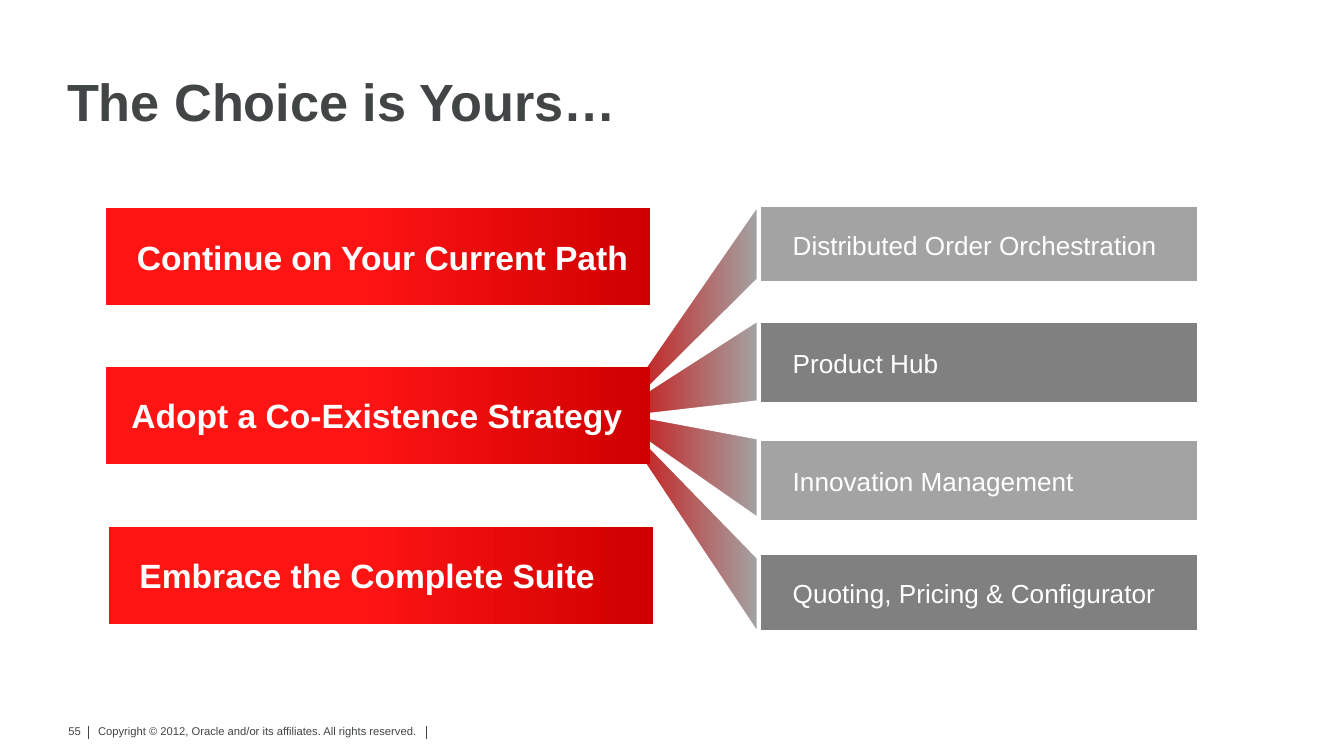
from dataclasses import dataclass

from lxml.etree import SubElement
from pptx import Presentation
from pptx.dml.color import RGBColor
from pptx.enum.shapes import MSO_CONNECTOR as Connector, MSO_SHAPE as Shape
from pptx.enum.text import MSO_ANCHOR as Anchor, MSO_AUTO_SIZE as AutoSize, PP_ALIGN as Align
from pptx.oxml.ns import qn
from pptx.util import Inches, Pt


@dataclass(frozen=True)
class Theme:
    """Colours, font and type sizes of the slide."""
    font: str = "Arial"
    ink: str = "424545"
    white: str = "FFFFFF"
    bright_red: str = "FF1414"
    deep_red: str = "CE0000"
    light_grey: str = "A3A3A3"
    dark_grey: str = "808080"
    title_size: float = 28
    choice_size: float = 18
    capability_size: float = 14
    footer_size: float = 6
    edge: float = 1.5
    hairline: float = 0.5


THEME = Theme()

CHOICES = [
    ("Continue on Your Current Path", 0, 0, 0.38, Align.LEFT),
    ("Adopt a Co-Existence Strategy", 0, 1.18, 0.25, Align.CENTER),
    ("Embrace the Complete Suite", 0.02, 2.37, 0.38, Align.LEFT),
]

CAPABILITIES = [
    ("Distributed Order Orchestration", 0, 0.57),
    ("Product Hub", 0.86, 0.61),
    ("Innovation Management", 1.74, 0.61),
    ("Quoting, Pricing & Configurator", 2.59, 0.58),
]

BEAMS = [
    ((0.01, 1.61), (0.01, 1.66), -0.01, 0.55),
    ((0.01, 1.57), (0, 1.59), 0.85, 1.46),
    ((0.01, 1.52), (0.01, 1.55), 1.73, 2.33),
    ((0.01, 1.47), (0.02, 1.52), 2.62, 3.19),
]


def rgb(code):
    """Return the colour for a hex code."""
    return RGBColor.from_string(code)


def add_text(slide, text, left, top, width, height, *, size, color=THEME.white, bold=False,
             align=Align.LEFT, anchor=Anchor.TOP, insets=(0.1, 0.05), wrap=True, grow=True,
             spacing=None, margin=0, indent=0):
    """Add one paragraph of text in its own box."""
    frame = slide.shapes.add_textbox(*map(Inches, (left, top, width, height))).text_frame
    frame.word_wrap = wrap
    frame.auto_size = AutoSize.SHAPE_TO_FIT_TEXT if grow else AutoSize.NONE
    frame.vertical_anchor = anchor
    frame.margin_left = frame.margin_right = Inches(insets[0])
    frame.margin_top = frame.margin_bottom = Inches(insets[1])
    paragraph = frame.paragraphs[0]
    paragraph.alignment = align
    paragraph.line_spacing = spacing
    if margin:
        properties = paragraph._p.get_or_add_pPr()
        properties.set("marL", str(Inches(margin)))
        properties.set("indent", str(Inches(indent)))
    run = paragraph.add_run()
    run.text = text
    run.font.name, run.font.size, run.font.bold = THEME.font, Pt(size), bold
    run.font.color.rgb = rgb(color)


def fill_gradient(shape, *stops):
    """Fill a shape from left to right through two (position, colour) stops."""
    shape.fill.gradient()
    shape.fill.gradient_angle = 0
    for stop, (position, color) in zip(shape.fill.gradient_stops, stops):
        stop.position = position
        stop.color.rgb = rgb(color)


def outline(shape):
    """Give a shape a white edge and no shadow."""
    shape.shadow.inherit = False
    shape.line.color.rgb = rgb(THEME.white)
    shape.line.width = Pt(THEME.edge)


def add_rectangle(slide, left, top, width, height):
    """Add a rectangle without a shadow."""
    rectangle = slide.shapes.add_shape(Shape.RECTANGLE, *map(Inches, (left, top, width, height)))
    rectangle.shadow.inherit = False
    return rectangle


def add_title(slide, left, top, width, height):
    """Add the slide title."""
    add_text(slide, "The Choice is Yours…", left, top, width, height, size=THEME.title_size,
             color=THEME.ink, bold=True, anchor=Anchor.BOTTOM, insets=(0, 0), grow=False,
             spacing=0.9)


def add_beams(slide, left, top, width):
    """Add the beams that fan out from the middle choice."""
    for upper_tip, lower_tip, upper_end, lower_end in BEAMS:
        corners = [(Inches(left + x), Inches(top + y)) for x, y in
                   (lower_tip, upper_tip, (width, upper_end), (width, lower_end))]
        builder = slide.shapes.build_freeform(*corners[0])
        builder.add_line_segments(corners[1:], close=True)
        beam = builder.convert_to_shape()
        outline(beam)
        fill_gradient(beam, (0, THEME.deep_red), (1, THEME.light_grey))


def add_capabilities(slide, left, top, width):
    """Add the column of capabilities in alternating greys."""
    label_height = 0.34
    for index, (label, offset, height) in enumerate(CAPABILITIES):
        bar = add_rectangle(slide, left, top + offset, width, height)
        outline(bar)
        bar.fill.solid()
        bar.fill.fore_color.rgb = rgb((THEME.light_grey, THEME.dark_grey)[index % 2])
        add_text(slide, label, left + 0.15, top + offset + 0.01 + (height - label_height) / 2,
                 width - 0.04, label_height, size=THEME.capability_size)


def add_choices(slide, left, top, width, height):
    """Add the column of red choices."""
    label_height = 0.4
    for label, shift, offset, margin, align in CHOICES:
        bar = add_rectangle(slide, left + shift, top + offset, width, height)
        bar.line.fill.background()
        fill_gradient(bar, (0.46, THEME.bright_red), (1, THEME.deep_red))
        add_text(slide, label, left + shift, top + offset + (height - label_height) / 2,
                 width - 0.02, label_height, size=THEME.choice_size, bold=True, align=align,
                 anchor=Anchor.MIDDLE, margin=margin, indent=-0.25)


def add_footer(slide, left, top):
    """Add the copyright line, its two dividers and the page number."""
    style = {"size": THEME.footer_size, "color": THEME.ink}
    add_text(slide, "Copyright © 2012, Oracle and/or its affiliates. All rights reserved.",
             left + 0.3, top + 0.03, 2.74, 0.24, insets=(0.04, 0.02), grow=False, **style)
    for x in (0.27, 2.78):
        ends = (left + x, top + 0.06, left + x, top + 0.16)
        divider = slide.shapes.add_connector(Connector.STRAIGHT, *map(Inches, ends))
        divider.line.color.rgb = rgb(THEME.ink)
        divider.line.width = Pt(THEME.hairline)
        SubElement(divider._element.spPr, qn("a:effectLst"))
    add_text(slide, "55", left, top, 0.31, 0.2, align=Align.RIGHT, wrap=False, **style)


def main():
    """Build the slide and save it."""
    deck = Presentation()
    deck.slide_width = Inches(10)
    deck.slide_height = deck.slide_width * 9 // 16
    slide = deck.slides.add_slide(deck.slide_layouts[6])
    add_footer(slide, 0.39, 5.34)
    add_title(slide, 0.5, 0.53, 9, 0.46)
    add_beams(slide, 4.51, 1.53, 1.13)
    add_capabilities(slide, 5.65, 1.53, 3.27)
    add_choices(slide, 0.79, 1.55, 4.05, 0.72)
    deck.save("out.pptx")


if __name__ == "__main__":
    main()
